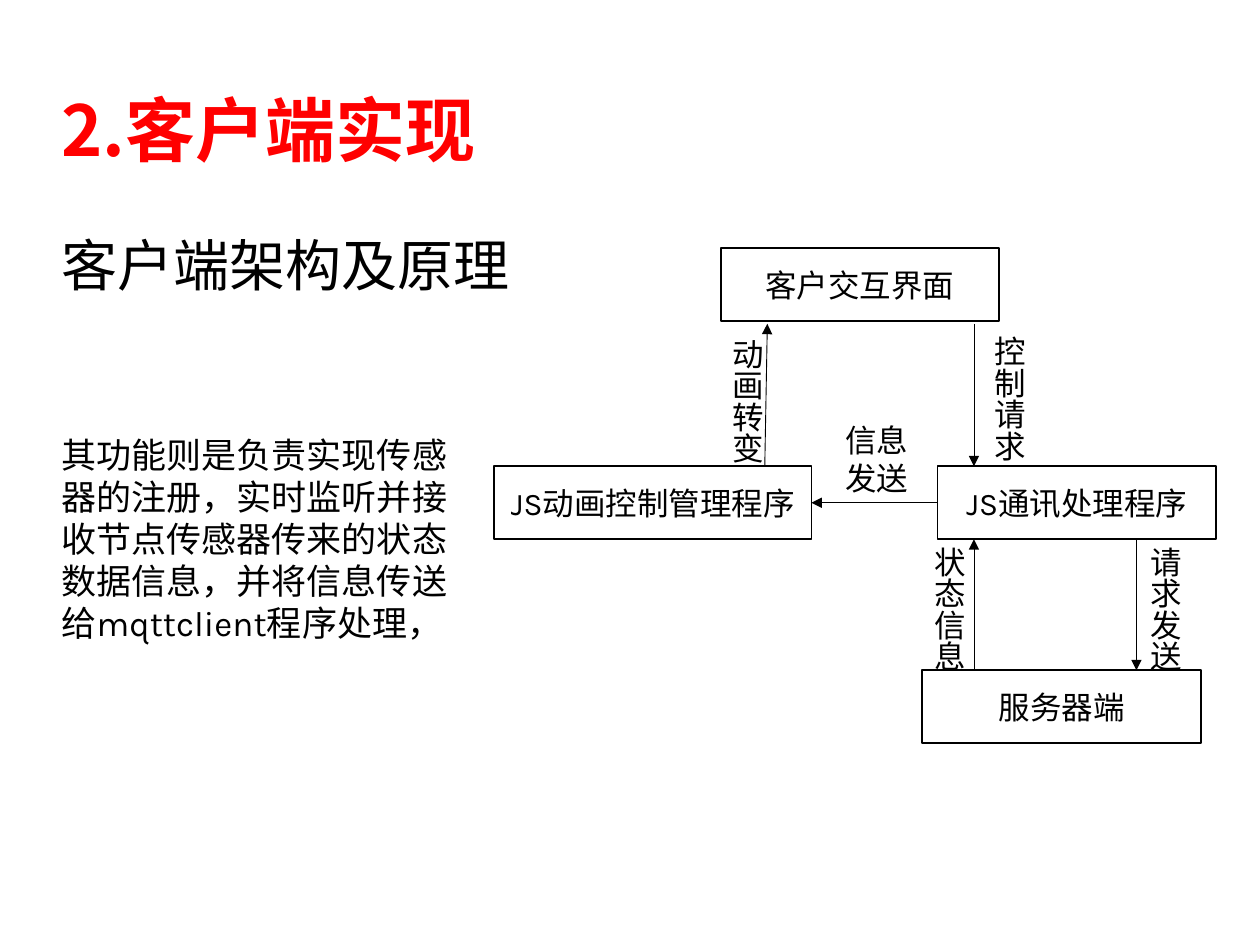
import pptx
import pptx.util
import pptx.dml.color
import pptx.enum.shapes
import pptx.enum.text
import pptx.oxml
import pptx.oxml.ns
from pptx.util import Inches

BLACK = pptx.dml.color.RGBColor(0, 0, 0)
WHITE = pptx.dml.color.RGBColor(255, 255, 255)
RED = pptx.dml.color.RGBColor(255, 0, 0)
ANCHOR = pptx.enum.text.MSO_ANCHOR
LATIN = "Karla"
HAN = "Noto Sans CJK SC"
LEFT, RIGHT = 1, 3


def add_tag(parent, tag, **attrs):
    """Append an empty DrawingML element to parent."""
    child = pptx.oxml.parse_xml(f"<{tag} {pptx.oxml.ns.nsdecls('a')}/>")
    for name, value in attrs.items():
        child.set(name, value)
    parent.append(child)


class Board:
    def __init__(self, slide):
        self.shapes = slide.shapes

    def label(self, frame, text, size, font=LATIN, color=BLACK, bold=False):
        """Put styled text into a text frame."""
        frame.text = text
        for run in frame.paragraphs[0].runs:
            run.font.size = pptx.util.Pt(size)
            run.font.name = font
            run.font.bold = bold
            run.font.color.rgb = color
            add_tag(run.font._element, "a:ea", typeface=font)

    def text(self, text, x, y, w, h, size, anchor=ANCHOR.TOP, **style):
        frame = self.shapes.add_textbox(
            Inches(x), Inches(y), Inches(w), Inches(h)).text_frame
        frame.word_wrap = True
        frame.vertical_anchor = anchor
        self.label(frame, text, size, **style)
        return frame

    def upright(self, text, x, y):
        """Add a label that reads from top to bottom."""
        frame = self.text(text, x, y, 0.5, 1.38, 18)
        frame._element.bodyPr.set("vert", "eaVert")

    def box(self, text, x, y, w=2.21):
        shape = self.shapes.add_shape(
            pptx.enum.shapes.MSO_SHAPE.RECTANGLE,
            Inches(x), Inches(y), Inches(w), Inches(0.58))
        shape.shadow.inherit = False
        shape.fill.solid()
        shape.fill.fore_color.rgb = WHITE
        shape.line.color.rgb = BLACK
        shape.line.width = pptx.util.Pt(1)
        frame = shape.text_frame
        frame.word_wrap = False
        frame.vertical_anchor = ANCHOR.MIDDLE
        self.label(frame, text, 18)
        frame.paragraphs[0].alignment = pptx.enum.text.PP_ALIGN.CENTER
        return shape

    def arrow(self, x1, y1, x2, y2):
        line = self.shapes.add_connector(
            pptx.enum.shapes.MSO_CONNECTOR.STRAIGHT,
            Inches(x1), Inches(y1), Inches(x2), Inches(y2))
        line.line.color.rgb = BLACK
        line.line.width = pptx.util.Pt(0.5)
        props = line._element.spPr
        add_tag(props.get_or_add_ln(), "a:tailEnd", type="triangle")
        add_tag(props, "a:effectLst")
        return line


def main():
    deck = pptx.Presentation()
    deck.slide_width, deck.slide_height = Inches(10), Inches(7.5)
    board = Board(deck.slides.add_slide(deck.slide_layouts[6]))

    board.text("2.客户端实现", 0.39, 0.57, 4.72, 0.83, 40,
               anchor=ANCHOR.BOTTOM, font=HAN, color=RED, bold=True)
    board.text("客户端架构及原理", 0.39, 1.78, 4.07, 0.64, 32)
    board.text("其功能则是负责实现传感器的注册，实时监听并接收节点传感器传来的状态"
               "数据信息，并将信息传送给mqttclient程序处理，",
               0.39, 3.39, 3.46, 1.78, 20)

    motion = board.box("JS动画控制管理程序", 3.92, 3.7, 2.52)
    board.box("客户交互界面", 5.72, 1.97)
    comms = board.box("JS通讯处理程序", 7.44, 3.7)
    board.box("服务器端", 7.32, 5.32)

    for ends in ((6.07, 3.7, 6.09, 2.57), (7.73, 2.57, 7.73, 3.7),
                 (9.02, 4.28, 9.02, 5.32), (7.73, 5.32, 7.73, 4.28)):
        board.arrow(*ends)
    send = board.arrow(7.44, 3.99, 6.44, 3.99)
    send.begin_connect(comms, LEFT)
    send.end_connect(motion, RIGHT)

    for label, x, y in (("动画转变", 5.63, 2.59), ("控制请求", 7.71, 2.57),
                        ("状态信息", 7.23, 4.24), ("请求发送", 8.95, 4.24)):
        board.upright(label, x, y)
    board.text("信息发送", 6.61, 3.29, 0.87, 0.71, 18)

    deck.save("out.pptx")


if __name__ == "__main__":
    main()
